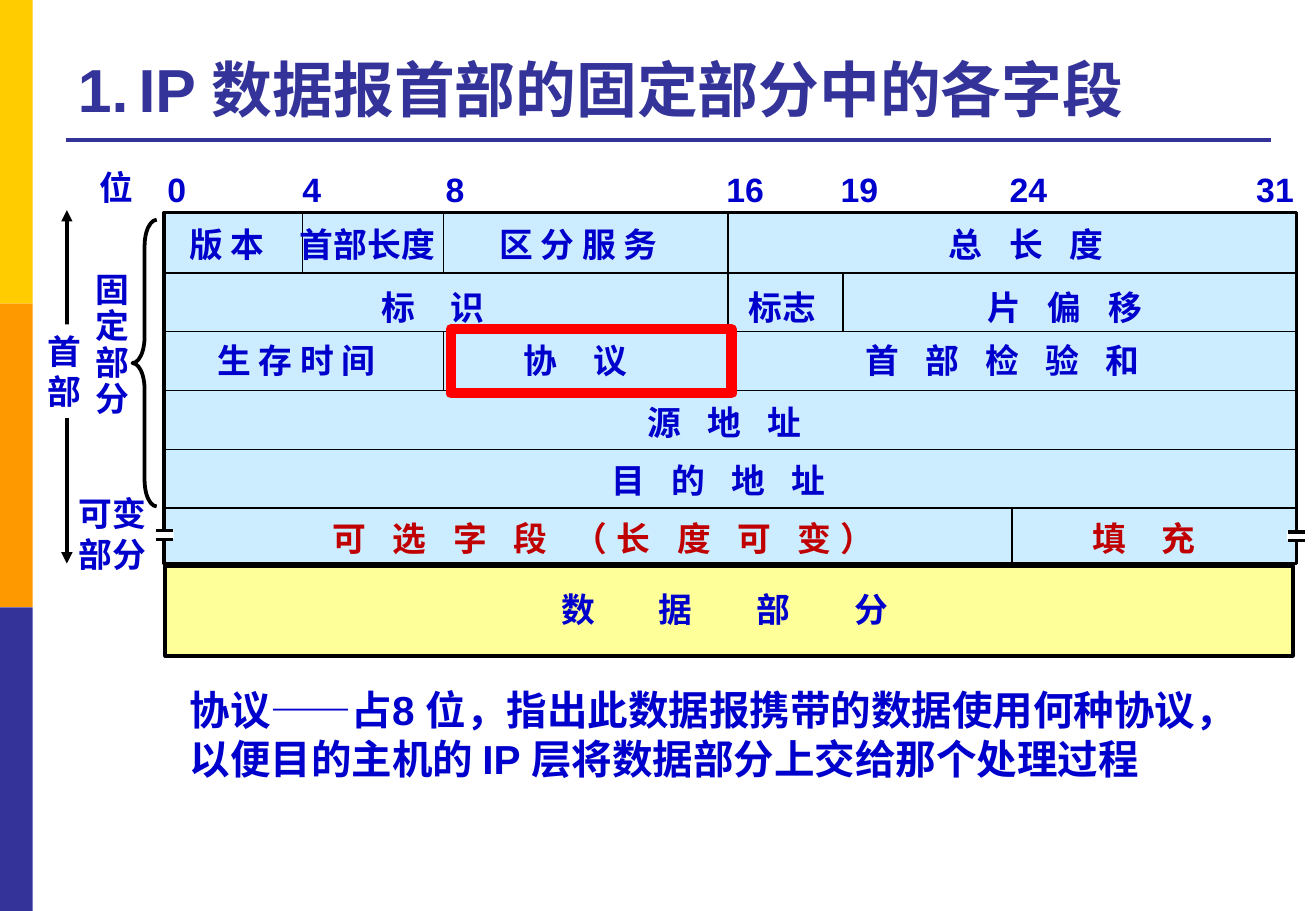
"""Build the slide on the fixed fields of the IP datagram header."""
from dataclasses import dataclass

from lxml import etree
from pptx import Presentation
from pptx.dml.color import RGBColor
from pptx.enum import shapes, text
from pptx.oxml import ns
from pptx.util import Inches, Pt


@dataclass(frozen=True)
class Theme:
    font: str = "Arial"
    title: str = "333399"
    label: str = "0000CC"
    option: str = "C00000"
    ink: str = "000000"
    paper: str = "FFFFFF"
    header: str = "CCECFF"
    data: str = "FFFF99"
    mark: str = "FF0000"
    bars: tuple = ("FFCC00", "FF9900", "333399")
    title_size: int = 36
    note_size: int = 24
    label_size: int = 20


THEME = Theme()
TITLE = "1.\tIP 数据报首部的固定部分中的各字段"
NOTE = "协议——占8 位，指出此数据报携带的数据使用何种协议，\n以便目的主机的 IP 层将数据部分上交给那个处理过程"
BITS = [("位", 0.72, 1.32), ("0", 1.28, 1.34), ("4", 2.39, 1.34), ("8", 3.57, 1.34),
        ("16", 5.88, 1.34), ("19", 6.82, 1.34), ("24", 8.21, 1.34), ("31", 10.24, 1.34)]
ROWS = [
    (1.79, [("版 本", 1.46, 1), ("首部长度", 2.37, 1), ("区 分 服 务", 4.01, 1), ("总 长 度", 7.71, 3)]),
    (2.31, [("标 识", 3.04, 4), ("标志", 6.06, 1), ("片 偏 移", 8.03, 3)]),
    (2.75, [("生 存 时 间", 1.69, 1), ("协 议", 4.21, 4), ("首 部 检 验 和", 7.02, 3)]),
    (3.26, [("源 地 址", 5.23, 3)]),
    (3.74, [("目 的 地 址", 4.93, 3)]),
    (4.21, [("可 选 字 段 （长 度 可 变）", 2.64, 3), ("填 充", 8.89, 4)]),
    (4.8, [("数 据 部 分", 4.52, 7)]),
]
OPTION_ROW = 5
DIVIDERS = [(2.49, 0, 1), (3.65, 0, 1), (3.65, 2, 3), (5.99, 0, 3), (6.94, 1, 2), (8.33, 5, 6)]
GRID_TOP, ROW_HEIGHT, GRID_LEFT, GRID_RIGHT = 1.76, 0.485, 1.34, 10.68
SPACE_EM = 0.278
BREAKS = [(1.28, 4.37), (10.6, 4.38)]

presentation = Presentation()
presentation.slide_width, presentation.slide_height = Inches(10.83), Inches(7.5)
slide = presentation.slides.add_slide(presentation.slide_layouts[1])


def write(frame, content, size=THEME.label_size, color=THEME.label, gap=1, spacing=1.0, tab=None):
    """Fill a text frame, widening each space to the given number of spaces."""
    frame.auto_size = text.MSO_AUTO_SIZE.NONE
    for index, line in enumerate(content.split("\n")):
        paragraph = frame.add_paragraph() if index else frame.paragraphs[0]
        properties = paragraph._p.get_or_add_pPr()
        properties.set("marL", "0")
        properties.set("indent", "0")
        etree.SubElement(properties, ns.qn("a:buNone"))
        if tab:
            stops = etree.SubElement(properties, ns.qn("a:tabLst"))
            etree.SubElement(stops, ns.qn("a:tab"), pos=str(Inches(tab)), algn="l")
        paragraph.alignment = text.PP_ALIGN.LEFT
        paragraph.line_spacing = spacing
        paragraph.space_before = Pt(0)
        run = paragraph.add_run()
        run.text = line
        run.font.name, run.font.size, run.font.bold = THEME.font, Pt(size), True
        run.font.color.rgb = RGBColor.from_string(color)
        if gap > 1:
            tracking = size * SPACE_EM * (gap - 1) / 2
            run._r.get_or_add_rPr().set("spc", str(round(tracking * 100)))


def add_label(content, left, top, height=0.43, gap=1, **style):
    """Add a text box sized to its longest line."""
    em = THEME.label_size / 72
    widths = {" ": SPACE_EM * gap}
    line = max(content.split("\n"), key=len)
    width = 0.2 + 0.07 * gap + em * sum(
        widths.get(letter, 0.556 if letter.isdigit() else 1) for letter in line)
    box = slide.shapes.add_textbox(Inches(left), Inches(top), Inches(width), Inches(height))
    box.text_frame.word_wrap = True
    write(box.text_frame, content, gap=gap, **style)


def add_block(left, top, width, height, fill=None, line=None, weight=1,
              kind=shapes.MSO_SHAPE.RECTANGLE):
    """Add a flat preset shape."""
    shape = slide.shapes.add_shape(kind, Inches(left), Inches(top), Inches(width), Inches(height))
    shape.shadow.inherit = False
    if fill:
        shape.fill.solid()
        shape.fill.fore_color.rgb = RGBColor.from_string(fill)
    else:
        shape.fill.background()
    if line:
        shape.line.color.rgb = RGBColor.from_string(line)
        shape.line.width = Pt(weight)
    else:
        shape.line.fill.background()
    return shape


def add_line(x1, y1, x2, y2, color=THEME.ink, weight=1, arrows=False):
    """Add a straight line, with arrowheads at both ends on request."""
    line = slide.shapes.add_connector(
        shapes.MSO_CONNECTOR.STRAIGHT, Inches(x1), Inches(y1), Inches(x2), Inches(y2))
    line.line.color.rgb = RGBColor.from_string(color)
    line.line.width = Pt(weight)
    if arrows:
        for end in ("a:headEnd", "a:tailEnd"):
            etree.SubElement(line.line._get_or_add_ln(), ns.qn(end), type="triangle")
    etree.SubElement(line._element.spPr, ns.qn("a:effectLst"))


def fill_placeholder(shape, content, left, top, width, height, anchor, **style):
    """Move a template placeholder and write its text."""
    shape.left, shape.top = Inches(left), Inches(top)
    shape.width, shape.height = Inches(width), Inches(height)
    shape.text_frame.vertical_anchor = anchor
    write(shape.text_frame, content, **style)


def row_y(row):
    """Return the top of a header row."""
    return GRID_TOP + ROW_HEIGHT * row


def main():
    """Draw and save the slide."""
    for index, color in enumerate(THEME.bars):
        add_block(0, 2.5 * index, 0.27, 2.5, fill=color)
    add_line(0.54, 1.15, 10.46, 1.15, color=THEME.title, weight=2.25)
    fill_placeholder(slide.shapes.title, TITLE, 0.54, 0.21, 9.91, 0.87, text.MSO_ANCHOR.BOTTOM,
                     size=THEME.title_size, color=THEME.title, tab=0.7)
    fill_placeholder(slide.placeholders[1], NOTE, 1.46, 5.59, 9.04, 0.91, text.MSO_ANCHOR.TOP,
                     size=THEME.note_size)

    add_block(1.35, 1.75, 9.32, 2.89, fill=THEME.header, line=THEME.ink, weight=2)
    add_block(1.36, 4.66, 9.28, 0.74, fill=THEME.data, line=THEME.ink, weight=2.25)
    for row in range(1, 6):
        add_line(GRID_LEFT, row_y(row), GRID_RIGHT, row_y(row))
    for x, first, last in DIVIDERS:
        add_line(x, row_y(first), x, row_y(last))
    for content, left, top in BITS:
        add_label(content, left, top)
    for row, (top, fields) in enumerate(ROWS):
        color = THEME.option if row == OPTION_ROW else THEME.label
        for content, left, gap in fields:
            add_label(content, left, top, gap=gap, color=color)

    for left, top in BREAKS:
        add_block(left - 0.01, top - 0.01, 0.16, 0.08, fill=THEME.paper)
        for y in (top, top + 0.07):
            add_line(left, y, left + 0.14, y, weight=2)

    add_line(0.55, 1.73, 0.55, 4.64, weight=2.25, arrows=True)
    add_block(0.29, 2.67, 0.48, 0.77, fill=THEME.paper)
    add_label("首\n部", 0.29, 2.67, height=0.77)
    add_label("固\n定\n部\n分", 0.69, 2.2, height=1.31, spacing=0.9)
    add_label("可变\n部分", 0.55, 4.01, height=0.77)
    brace = add_block(1.09, 1.81, 0.2, 2.36, line=THEME.ink, weight=2.25,
                      kind=shapes.MSO_SHAPE.LEFT_BRACE)
    brace.adjustments[0] = 1.08
    add_block(3.71, 2.71, 2.31, 0.53, line=THEME.mark, weight=6)
    presentation.save("out.pptx")


if __name__ == "__main__":
    main()
